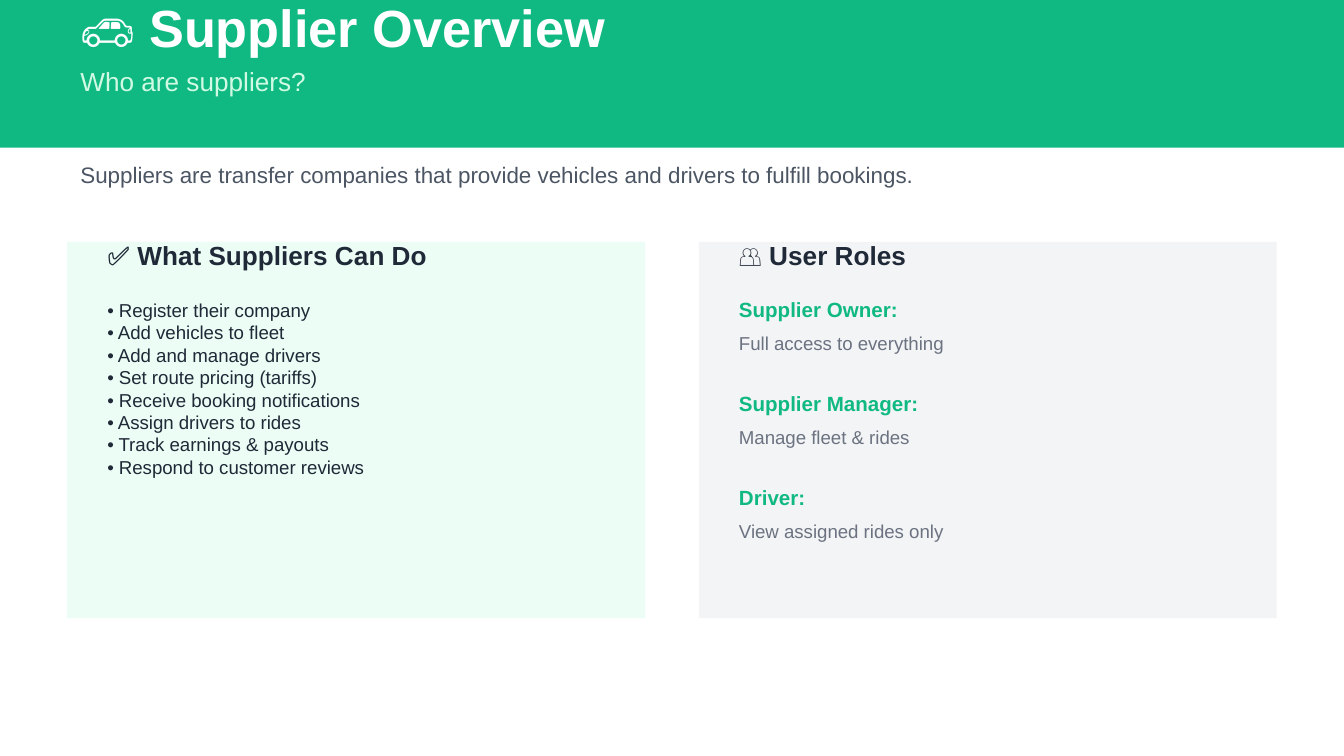
from pptx import Presentation
from pptx import util as u
from pptx.dml.color import RGBColor
from pptx.enum import shapes, text

GREEN, INK = "10B981", "1F2937"
HEAD = {"size": 14, "bold": True, "color": INK}
ROLE = {"size": 11, "bold": True, "color": GREEN}
NOTE = {"size": 10, "color": "6B7280"}
ITEM = {"size": 10, "color": INK}


def tint(code):
    return RGBColor.from_string(code)


def inch(num):
    return u.Cm(num * 2.54)


class Deck:
    font = "Arial"

    def __init__(self, wide, high):
        self.file = Presentation()
        self.file.slide_width, self.file.slide_height = inch(wide), inch(high)
        self.slide = self.file.slides.add_slide(self.file.slide_layouts[6])

    def panel(self, left, top, wide, high, color):
        box = self.slide.shapes.add_shape(
            shapes.MSO_SHAPE.RECTANGLE, *map(inch, (left, top, wide, high)))
        box.shadow.inherit = False
        box.fill.solid()
        box.fill.fore_color.rgb = tint(color)
        box.line.fill.background()

    def words(self, left, top, lines, form, wide=7.5, high=0):
        box = self.slide.shapes.add_textbox(*map(inch, (left, top, wide, high)))
        frame = box.text_frame
        frame.word_wrap = True
        frame.vertical_anchor = text.MSO_ANCHOR.MIDDLE
        frame.text = "\n".join(lines)
        for para in frame.paragraphs:
            for run in para.runs:
                run.font.name = self.font
                for key, val in form.items():
                    if key == "color":
                        run.font.color.rgb = tint(val)
                    else:
                        setattr(run.font, key, u.Pt(val) if key == "size" else val)


def main():
    deck = Deck(10, 10 * 9 / 16)
    deck.panel(0, 0, 10, 1.1, GREEN)
    deck.words(0.5, 0.2, ["🚗 Supplier Overview"],
               {"size": 28, "bold": True, "color": "FFFFFF"})
    deck.words(0.5, 0.6, ["Who are suppliers?"], {"size": 14, "color": "D1FAE5"})
    deck.words(0.5, 1.3, [
        "Suppliers are transfer companies that provide vehicles and drivers"
        " to fulfill bookings."], {"size": 12, "color": "4B5563"}, wide=9)

    cards = [(0.5, "ECFDF5", "✅ What Suppliers Can Do"),
             (5.2, "F3F4F6", "👥 User Roles")]
    for left, color, title in cards:
        deck.panel(left, 1.8, 4.3, 2.8, color)
        deck.words(left + 0.2, 1.9, [title], HEAD)

    tasks = ["Register their company", "Add vehicles to fleet",
             "Add and manage drivers", "Set route pricing (tariffs)",
             "Receive booking notifications", "Assign drivers to rides",
             "Track earnings & payouts", "Respond to customer reviews"]
    deck.words(0.7, 2.17, ["• " + task for task in tasks], ITEM, wide=4, high=1.44)

    roles = [("Supplier Owner:", "Full access to everything"),
             ("Supplier Manager:", "Manage fleet & rides"),
             ("Driver:", "View assigned rides only")]
    for row, (role, note) in enumerate(roles):
        top = 2.3 + 0.7 * row
        deck.words(5.4, top, [role], ROLE)
        deck.words(5.4, top + 0.25, [note], NOTE)

    deck.file.save("out.pptx")


if __name__ == "__main__":
    main()
